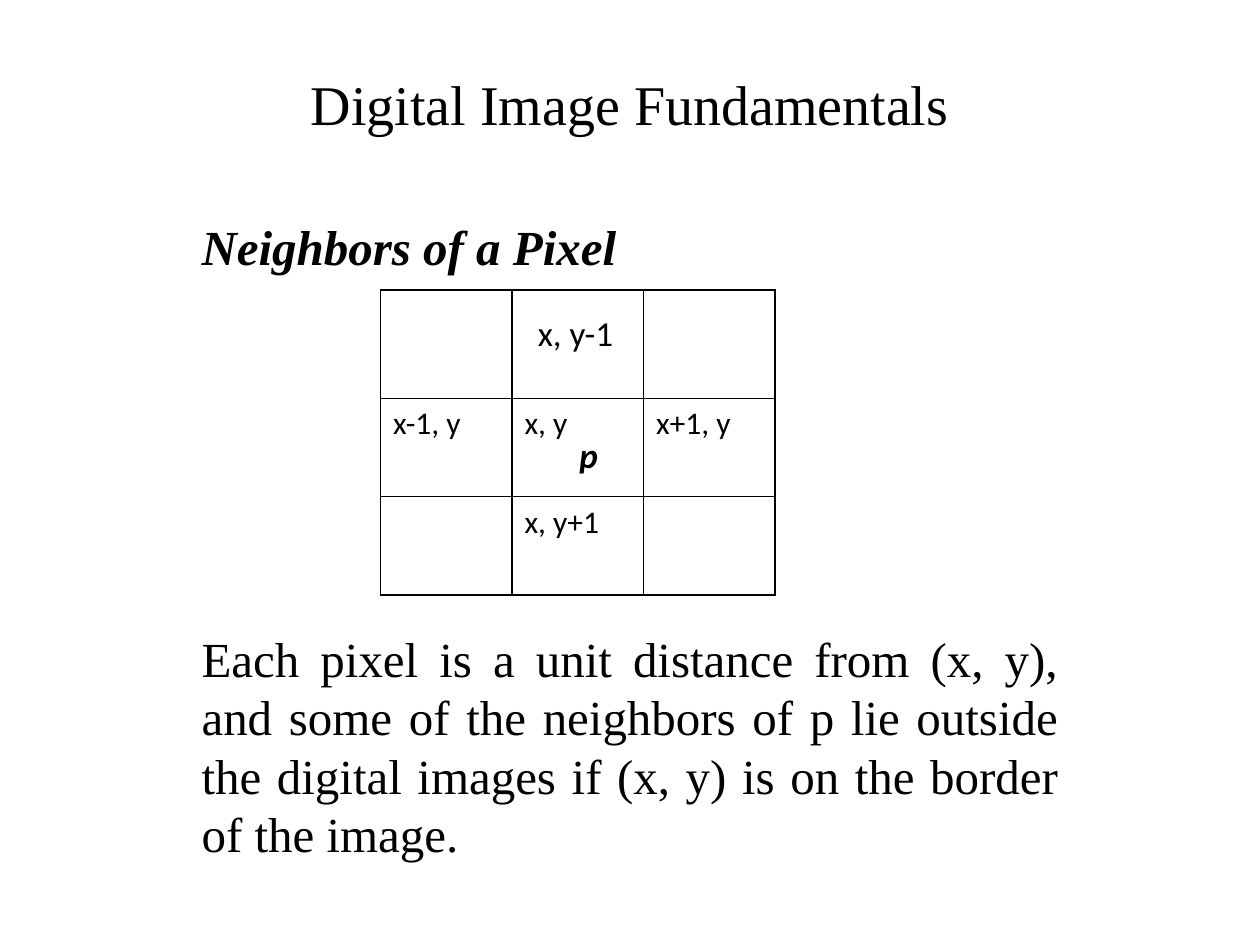
from dataclasses import dataclass

from lxml import etree
from pptx import Presentation
from pptx.dml.color import RGBColor
from pptx.enum.text import MSO_ANCHOR, MSO_AUTO_SIZE, PP_ALIGN
from pptx.oxml.ns import qn
from pptx.util import Inches, Pt

CENTER, JUSTIFY = PP_ALIGN.CENTER, PP_ALIGN.JUSTIFY
MIDDLE, TOP = MSO_ANCHOR.MIDDLE, MSO_ANCHOR.TOP
NO_FIT = MSO_AUTO_SIZE.NONE


@dataclass(frozen=True)
class Theme:
    ink: RGBColor = RGBColor(0, 0, 0)
    paper: RGBColor = RGBColor(255, 255, 255)
    serif: str = "Times New Roman"
    sans: str = "Calibri"
    title: int = 32
    body: int = 28
    label: int = 20
    cell: int = 18
    line: float = 33.5
    border: float = 1


@dataclass(frozen=True)
class Box:
    """A rectangle in shares of the slide's width and height."""
    left: float
    top: float
    width: float
    height: float


@dataclass(frozen=True)
class Label:
    text: str
    box: Box
    strong: bool = False


THEME = Theme()
WIDTH, HEIGHT = Inches(10), Inches(7.5)
TITLE_BOX = Box(0.075, 0.064, 0.85, 0.09)
BODY_BOX = Box(0.15, 0.223, 0.7, 0.723)
GRID_BOX = Box(0.302, 0.307, 0.313, 0.323)
ROW_HEIGHTS = (0.86, 0.78, 0.78)
GRID = (
    ("", "", ""),
    ("x-1, y", "x, y", "x+1, y"),
    ("", "x, y+1", ""),
)
LABELS = (
    Label("x, y-1", Box(0.417, 0.323, 0.083, 0.058)),
    Label("p", Box(0.45, 0.452, 0.083, 0.058), strong=True),
)
HEADING = "Neighbors of a Pixel"
EXPLANATION = (
    "Each pixel is a unit distance from (x, y), and some of the neighbors of p "
    "lie outside the digital images if (x, y) is on the border of the image."
)
GRID_GAP = 201.5  # points left between heading and explanation for the grid


def frame(box: Box) -> tuple[int, int, int, int]:
    return (int(WIDTH * box.left), int(HEIGHT * box.top),
            int(WIDTH * box.width), int(HEIGHT * box.height))


def place(sp, box: Box) -> None:
    sp.left, sp.top, sp.width, sp.height = frame(box)


def add_run(p, text: str, font: str, size: float, strong: bool = False) -> None:
    """Add a run; strong text is bold and italic."""
    r = p.add_run()
    r.text = text
    r.font.name, r.font.size = font, Pt(size)
    r.font.bold = r.font.italic = strong
    r.font.color.rgb = THEME.ink


def fill_title(sp) -> None:
    place(sp, TITLE_BOX)
    tf = sp.text_frame
    tf.vertical_anchor, tf.auto_size = MIDDLE, NO_FIT
    p = tf.paragraphs[0]
    p.alignment = CENTER
    add_run(p, "Digital Image Fundamentals", THEME.serif, THEME.title)


def fill_body(sp) -> None:
    place(sp, BODY_BOX)
    tf = sp.text_frame
    tf.vertical_anchor, tf.auto_size = TOP, NO_FIT
    heading, explanation = tf.paragraphs[0], tf.add_paragraph()
    for p in (heading, explanation):
        p.alignment, p.line_spacing = JUSTIFY, Pt(THEME.line)
    heading.space_before, explanation.space_before = Pt(0), Pt(GRID_GAP)
    add_run(heading, HEADING, THEME.serif, THEME.body, strong=True)
    add_run(explanation, EXPLANATION, THEME.serif, THEME.body)


def draw_borders(cell) -> None:
    tc_pr = cell._tc.get_or_add_tcPr()
    for i, side in enumerate(("a:lnL", "a:lnR", "a:lnT", "a:lnB")):
        ln = etree.Element(qn(side), w=str(Pt(THEME.border)))
        fill = etree.SubElement(ln, qn("a:solidFill"))
        etree.SubElement(fill, qn("a:srgbClr"), val=str(THEME.ink))
        tc_pr.insert(i, ln)


def add_grid(s) -> None:
    table = s.shapes.add_table(len(GRID), len(GRID[0]), *frame(GRID_BOX)).table
    table.first_row = table.horz_banding = False
    for row, height, texts in zip(table.rows, ROW_HEIGHTS, GRID):
        row.height = Inches(height)
        for cell, text in zip(row.cells, texts):
            cell.fill.solid()
            cell.fill.fore_color.rgb = THEME.paper
            draw_borders(cell)
            if text:
                add_run(cell.text_frame.paragraphs[0], text, THEME.sans, THEME.cell)


def add_label(s, label: Label) -> None:
    tf = s.shapes.add_textbox(*frame(label.box)).text_frame
    tf.word_wrap = True
    add_run(tf.paragraphs[0], label.text, THEME.sans, THEME.label, label.strong)


def main() -> None:
    prs = Presentation()
    prs.slide_width, prs.slide_height = WIDTH, HEIGHT
    s = prs.slides.add_slide(prs.slide_layouts[0])
    fill_title(s.shapes.title)
    fill_body(s.placeholders[1])
    add_grid(s)
    for label in LABELS:
        add_label(s, label)
    prs.save("out.pptx")


if __name__ == "__main__":
    main()
